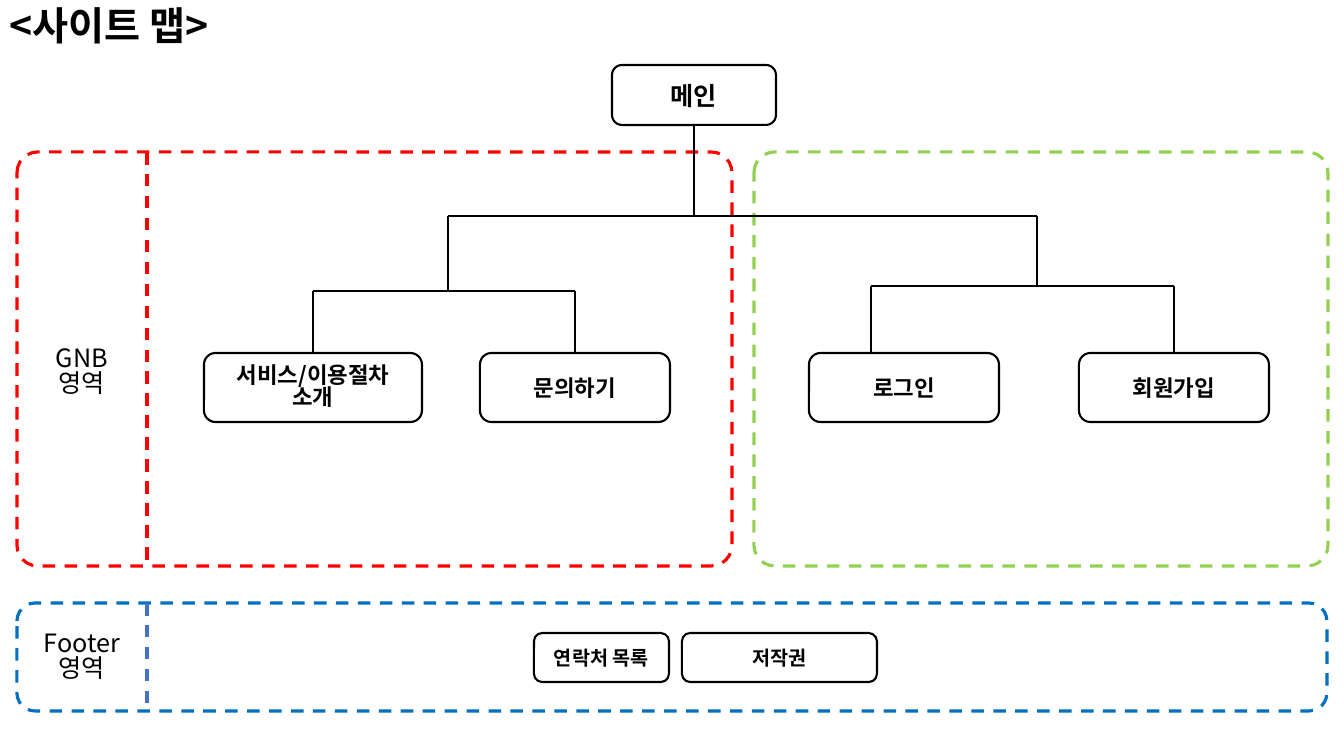
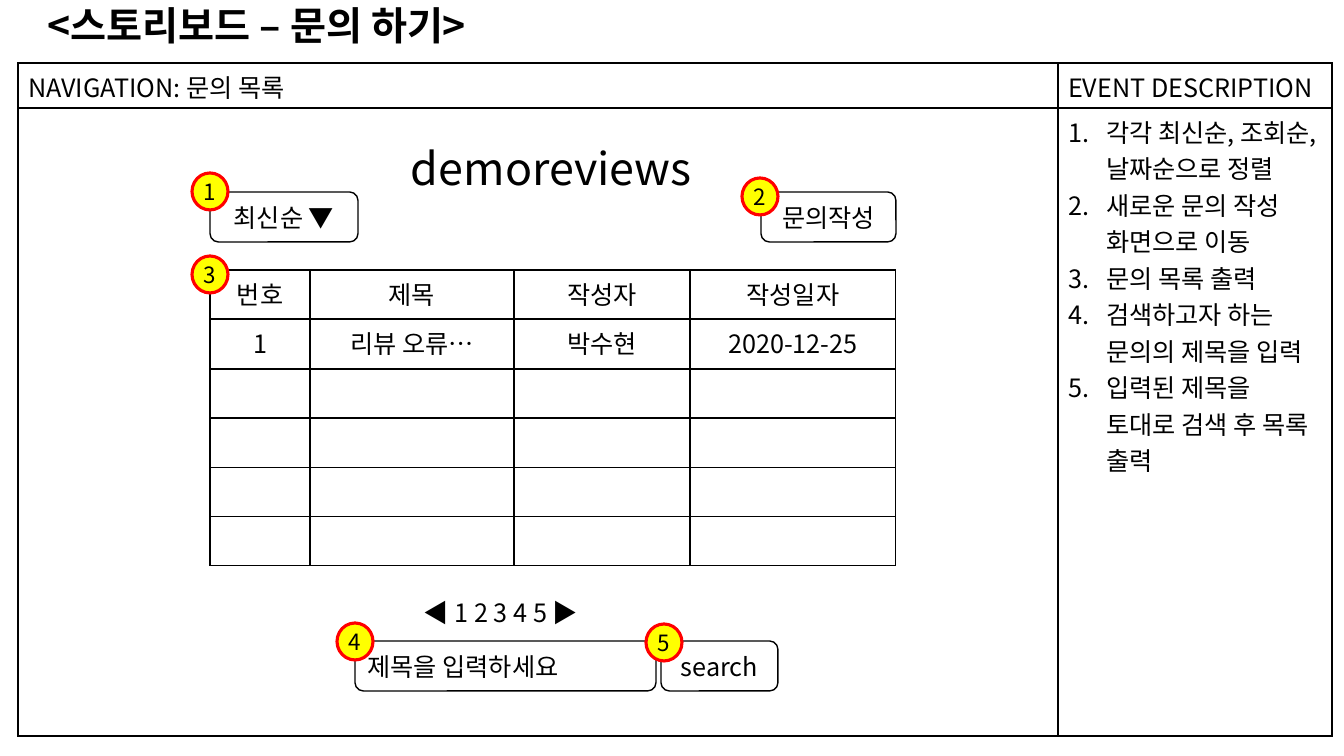
from lxml import etree
from pptx import Presentation
from pptx.dml.color import RGBColor
from pptx.enum.dml import MSO_LINE
from pptx.enum.shapes import MSO_CONNECTOR, MSO_SHAPE
from pptx.enum.text import MSO_ANCHOR, PP_ALIGN
from pptx.oxml.ns import qn
from pptx.util import Emu, Pt

LEFT, CENTER = PP_ALIGN.LEFT, PP_ALIGN.CENTER
TOP, MIDDLE = MSO_ANCHOR.TOP, MSO_ANCHOR.MIDDLE
ROUNDED, OVAL = MSO_SHAPE.ROUNDED_RECTANGLE, MSO_SHAPE.OVAL
STRAIGHT = MSO_CONNECTOR.STRAIGHT
DASH = MSO_LINE.DASH

FONT = "Noto Sans CJK KR"
BLACK, WHITE = "000000", "FFFFFF"
RED, GREEN, BLUE, INDIGO, YELLOW = "FF0000", "92D050", "0070C0", "4472C4", "FFFF00"
SLIDE_WIDTH, SLIDE_HEIGHT = 1344, 756
TIGHT_SPACING = 0.82
LIST_INDENT = 38


def px(length):
    return Emu(round(length * 914400 / 100.8))


def color(value):
    return RGBColor.from_string(value)


def write_text(frame, text, size=18, bold=False, align=CENTER, spacing=None, numbered=False):
    for index, line in enumerate(text.split("\n")):
        paragraph = frame.paragraphs[0] if index == 0 else frame.add_paragraph()
        paragraph.text = line
        paragraph.alignment = align
        if spacing:
            paragraph.line_spacing = spacing
        if numbered:
            number_paragraph(paragraph)
        font = paragraph.font
        font.name, font.size, font.bold = FONT, Pt(size), bold
        font.color.rgb = color(BLACK)
        properties = paragraph._p.get_or_add_pPr().find(qn("a:defRPr"))
        latin = properties.find(qn("a:latin"))
        east_asian = etree.Element(qn("a:ea"), typeface=FONT)
        latin.addnext(east_asian)


def number_paragraph(paragraph):
    properties = paragraph._p.get_or_add_pPr()
    properties.set("marL", str(px(LIST_INDENT)))
    properties.set("indent", str(-px(LIST_INDENT)))
    etree.SubElement(properties, qn("a:buFont"), typeface="+mj-lt")
    etree.SubElement(properties, qn("a:buAutoNum"), type="arabicPeriod")


def style_line(line, line_color, width, dashed=False):
    line.color.rgb = color(line_color)
    line.width = Pt(width)
    if dashed:
        line.dash_style = DASH


def draw_text(slide, box, text, anchor=MIDDLE, **style):
    frame = slide.shapes.add_textbox(*map(px, box)).text_frame
    frame.word_wrap = True
    frame.vertical_anchor = anchor
    write_text(frame, text, **style)


def draw_shape(slide, kind, box, fill, line_color, width, dashed=False):
    shape = slide.shapes.add_shape(kind, *map(px, box))
    shape.shadow.inherit = False
    if fill:
        shape.fill.solid()
        shape.fill.fore_color.rgb = color(fill)
    else:
        shape.fill.background()
    style_line(shape.line, line_color, width, dashed)
    return shape


def draw_box(slide, box, text, width=1, **style):
    shape = draw_shape(slide, ROUNDED, box, WHITE, BLACK, width)
    shape.text_frame.word_wrap = True
    shape.text_frame.vertical_anchor = MIDDLE
    write_text(shape.text_frame, text, **style)
    return shape


def draw_line(slide, start, end, line_color=BLACK, width=1.5, dashed=False):
    line = slide.shapes.add_connector(STRAIGHT, *map(px, (*start, *end)))
    style_line(line.line, line_color, width, dashed)
    etree.SubElement(line._element.spPr, qn("a:effectLst"))
    return line


def draw_title(slide, left, text, align):
    draw_text(slide, (left, 0, 504, 50), text, size=28, bold=True, align=align)


def draw_region(slide, box, line_color, corner=None):
    shape = draw_shape(slide, ROUNDED, box, None, line_color, 2.25, dashed=True)
    if corner:
        shape.adjustments[0] = corner


def draw_region_label(slide, box, text, label_top, divider_color):
    left, top, _, height = box
    label_width = 130
    divider = left + label_width
    draw_text(slide, (left, top + label_top, label_width, 49), text, spacing=TIGHT_SPACING)
    draw_line(slide, (divider, top), (divider, top + height), divider_color, 2.25, True)


def draw_fork(slide, stem_x, stem_top, bar_y, branches):
    stem = draw_line(slide, (stem_x, stem_top), (stem_x, bar_y))
    draw_line(slide, (branches[0], bar_y), (branches[1], bar_y))
    return stem


def draw_drop(slide, x, top, bottom, child=None):
    drop = draw_line(slide, (x, top), (x, bottom))
    if child:
        drop.end_connect(child, 0)


def draw_table(slide, origin, columns, rows):
    box = (*origin, sum(columns), sum(rows))
    table = slide.shapes.add_table(len(rows), len(columns), *map(px, box)).table
    table.first_row = table.horz_banding = False
    for column, width in zip(table.columns, columns):
        column.width = px(width)
    for row, height in zip(table.rows, rows):
        row.height = px(height)
    for cell in table.iter_cells():
        cell.fill.background()
        draw_borders(cell)
    return table


def draw_borders(cell):
    properties = cell._tc.get_or_add_tcPr()
    for index, side in enumerate(("lnL", "lnR", "lnT", "lnB")):
        border = etree.Element(qn(f"a:{side}"), w=str(Pt(1)))
        fill = etree.SubElement(border, qn("a:solidFill"))
        etree.SubElement(fill, qn("a:srgbClr"), val=BLACK)
        properties.insert(index, border)


def draw_badge(slide, number, left, top):
    badge = draw_shape(slide, OVAL, (left, top, 36, 37), YELLOW, RED, 2.25)
    frame = badge.text_frame
    frame.margin_left = frame.margin_right = frame.margin_top = frame.margin_bottom = 0
    frame.word_wrap = False
    frame.vertical_anchor = MIDDLE
    write_text(frame, str(number), size=16)


def draw_site_tree(slide):
    node = {"width": 1.5, "size": 16, "bold": True}
    top, height, branch_y = 353, 69, 216
    main = draw_box(slide, (612, 65, 164, 60), "메인", width=1.5, size=18, bold=True)
    service = draw_box(slide, (204, top, 218, height), "서비스/이용절차\n소개",
                       spacing=TIGHT_SPACING, **node)
    inquiry = draw_box(slide, (480, top, 190, height), "문의하기", **node)
    draw_box(slide, (809, top, 190, height), "로그인", **node)
    sign_up = draw_box(slide, (1079, top, 190, height), "회원가입", **node)

    draw_fork(slide, 694, 125, branch_y, (448, 1037)).begin_connect(main, 2)
    for stem_x, bar_y, drops in (
        (448, 291, ((313, service), (575, inquiry))),
        (1037, 286, ((871, None), (1174, sign_up))),
    ):
        draw_fork(slide, stem_x, branch_y, bar_y, [x for x, _ in drops])
        for x, child in drops:
            draw_drop(slide, x, bar_y, top, child)


def draw_footer(slide, box):
    left, top, _, _ = box
    draw_region(slide, box, BLUE)
    draw_region_label(slide, box, "Footer\n영역", 30, INDIGO)
    for offset, width, text in ((517, 135, "연락처 목록"), (665, 195, "저작권")):
        draw_box(slide, (left + offset, top + 30, width, 49), text,
                 width=1.5, size=14, bold=True)


def build_site_map(slide):
    draw_title(slide, 0, "<사이트 맵>", LEFT)
    navigation = (17, 152, 715, 414)
    draw_region(slide, navigation, RED, 0.05)
    draw_region_label(slide, navigation, "GNB\n영역", 196, RED)
    draw_region(slide, (754, 152, 574, 414), GREEN, 0.05)
    draw_site_tree(slide)
    draw_footer(slide, (17, 603, 1310, 108))


def draw_story_frame(slide, origin, navigation, events):
    table = draw_table(slide, origin, (1040, 274), (45, 628))
    for column, text in enumerate((navigation, "EVENT DESCRIPTION")):
        write_text(table.cell(0, column).text_frame, text, align=LEFT)
    write_text(table.cell(1, 1).text_frame, "\n".join(events), align=LEFT, numbered=True)


def draw_inquiry_list(slide, origin):
    table = draw_table(slide, origin, (100, 204, 176, 206), (49, 50, 49, 50, 49, 49))
    records = (
        ("번호", "제목", "작성자", "작성일자"),
        ("1", "리뷰 오류…", "박수현", "2020-12-25"),
    )
    for row, record in enumerate(records):
        for column, text in enumerate(record):
            write_text(table.cell(row, column).text_frame, text)


def build_storyboard(slide):
    draw_title(slide, 5, "<스토리보드 – 문의 하기>", CENTER)
    draw_story_frame(slide, (18, 63), "NAVIGATION: 문의 목록", (
        "각각 최신순, 조회순, 날짜순으로 정렬",
        "새로운 문의 작성 화면으로 이동",
        "문의 목록 출력",
        "검색하고자 하는 문의의 제목을 입력",
        "입력된 제목을 토대로 검색 후 목록 출력",
    ))
    draw_text(slide, (401, 136, 301, 65), "demoreviews", TOP, size=32)
    draw_inquiry_list(slide, (210, 270))
    draw_text(slide, (414, 592, 196, 40), "◀ 1 2 3 4 5 ▶", TOP, align=LEFT)
    for left, top, width, text, align in (
        (210, 192, 148, "최신순 ▼", CENTER),
        (761, 192, 135, "문의작성", CENTER),
        (355, 641, 301, "제목을 입력하세요", LEFT),
        (661, 641, 117, "search", CENTER),
    ):
        draw_box(slide, (left, top, width, 50), text, align=align)
    badges = ((192, 173), (742, 178), (192, 256), (337, 623), (646, 624))
    for number, position in enumerate(badges, 1):
        draw_badge(slide, number, *position)


def main():
    presentation = Presentation()
    presentation.slide_width = px(SLIDE_WIDTH)
    presentation.slide_height = px(SLIDE_HEIGHT)
    blank = presentation.slide_layouts[6]
    for build in (build_site_map, build_storyboard):
        build(presentation.slides.add_slide(blank))
    presentation.save("out.pptx")


if __name__ == "__main__":
    main()
